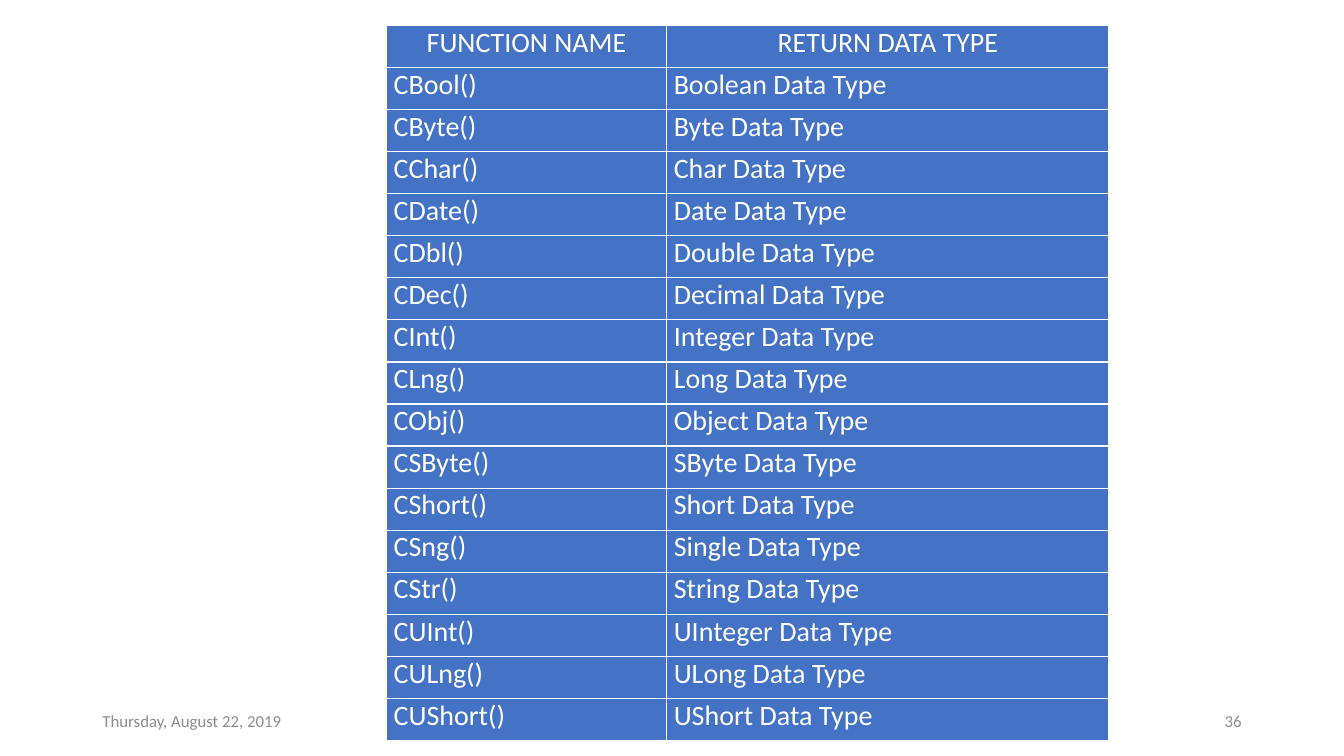
from lxml import etree
from pptx import Presentation
from pptx import util as u
from pptx.dml.color import RGBColor
from pptx.enum import text
from pptx.oxml.ns import qn

BLUE, WHITE, GREY = "4472C4", "FFFFFF", "8C8C8C"
HEADER = ("FUNCTION NAME", "RETURN DATA TYPE")
CONVERSIONS = [
    ("CBool()", "Boolean"), ("CByte()", "Byte"), ("CChar()", "Char"),
    ("CDate()", "Date"), ("CDbl()", "Double"), ("CDec()", "Decimal"),
    ("CInt()", "Integer"), ("CLng()", "Long"), ("CObj()", "Object"),
    ("CSByte()", "SByte"), ("CShort()", "Short"), ("CSng()", "Single"),
    ("CStr()", "String"), ("CUInt()", "UInteger"), ("CULng()", "ULong"),
    ("CUShort()", "UShort"),
]


def rgb(color):
    return RGBColor.from_string(color)


def write(tf, words, size=20, color=WHITE, align=text.PP_ALIGN.LEFT, after=0):
    p = tf.paragraphs[0]
    p.alignment = align
    p.space_after = u.Pt(after)
    r = p.add_run()
    r.text = words
    r.font.name = "Calibri"
    r.font.size = u.Pt(size)
    r.font.color.rgb = rgb(color)


def border(cell, color, width=1):
    tcPr = cell._tc.get_or_add_tcPr()
    for side in ("a:lnL", "a:lnR", "a:lnT", "a:lnB"):
        ln = etree.SubElement(tcPr, qn(side), w=str(u.Pt(width)))
        fill = etree.SubElement(ln, qn("a:solidFill"))
        etree.SubElement(fill, qn("a:srgbClr"), val=color)


def conversion_table(s, left, top, width, height):
    rows = [HEADER] + [(name, f"{kind} Data Type") for name, kind in CONVERSIONS]
    table = s.shapes.add_table(len(rows), 2, left, top, width, height).table
    table.columns[0].width = u.Cm(7.06)
    table.columns[1].width = width - u.Cm(7.06)
    for i, row in enumerate(rows):
        table.rows[i].height = height // len(rows)
        align = text.PP_ALIGN.LEFT if i else text.PP_ALIGN.CENTER
        for j, words in enumerate(row):
            cell = table.cell(i, j)
            cell.margin_left = cell.margin_right = u.Cm(0.18)
            cell.margin_top = cell.margin_bottom = 0
            border(cell, WHITE)
            cell.fill.solid()
            cell.fill.fore_color.rgb = rgb(BLUE)
            write(cell.text_frame, words, align=align, after=2)


def footer(s, left, top, width, height):
    box_width = u.Cm(7.62)
    parts = [
        (left, "Thursday, August 22, 2019", text.PP_ALIGN.LEFT),
        (left + width - box_width, "36", text.PP_ALIGN.RIGHT),
    ]
    for x, words, align in parts:
        tf = s.shapes.add_textbox(x, top, box_width, height).text_frame
        tf.word_wrap = True
        tf.vertical_anchor = text.MSO_ANCHOR.MIDDLE
        write(tf, words, size=12, color=GREY, align=align)


def main():
    prs = Presentation()
    prs.slide_width, prs.slide_height = u.Cm(33.87), u.Cm(19.05)
    s = prs.slides.add_slide(prs.slide_layouts[6])

    # Type conversion functions
    conversion_table(s, u.Cm(9.74), u.Cm(0.64), u.Cm(18.21), u.Cm(18.02))

    # Date and slide number
    footer(s, u.Cm(2.33), u.Cm(17.66), u.Cm(29.21), u.Cm(1.01))

    prs.save("out.pptx")


if __name__ == "__main__":
    main()
